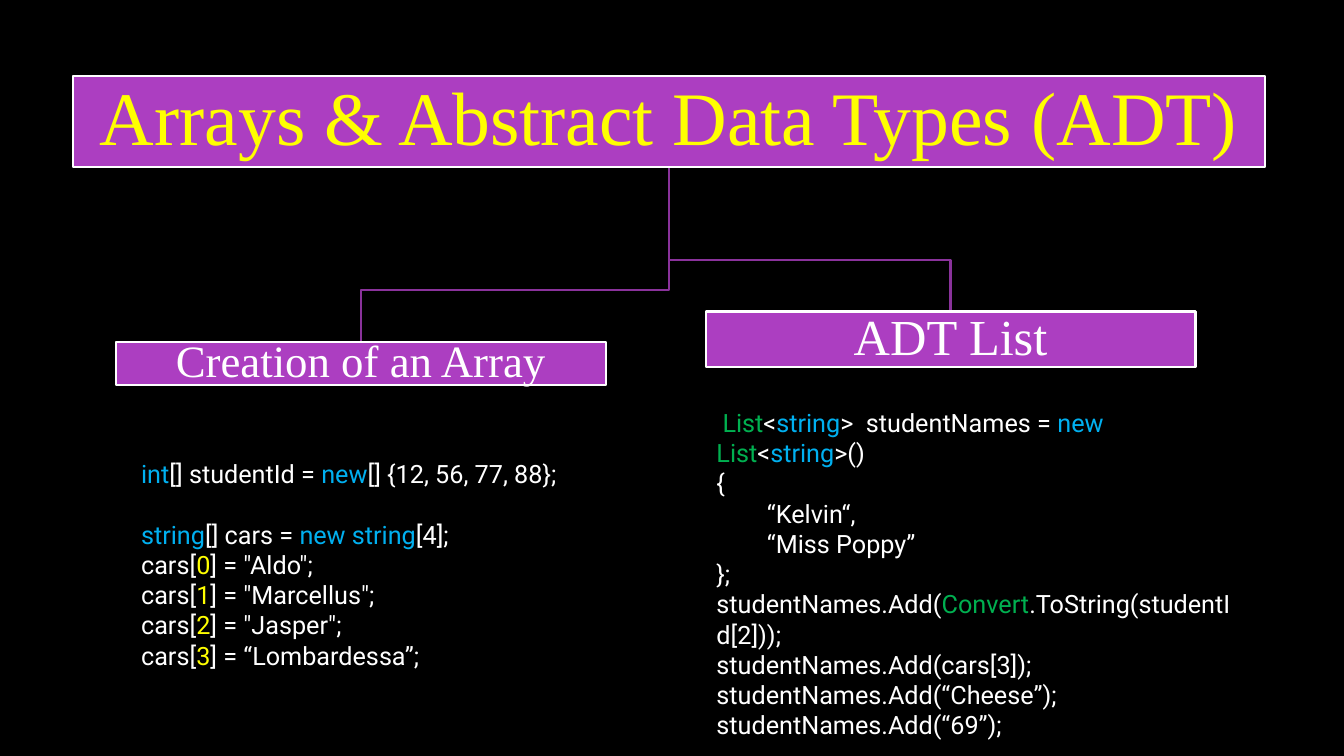
"""Build a slide that outlines arrays and abstract data types as a small tree."""
from dataclasses import dataclass

from pptx import Presentation
from pptx import util as u
from pptx.dml.color import RGBColor
from pptx.enum import shapes, text

COLORS = {
    "black": "000000", "white": "FFFFFF", "purple": "AC3EC1", "plum": "8A329B",
    "yellow": "FFFF00", "blue": "00B0F0", "green": "00B050",
}
TOKEN_COLORS = {
    **dict.fromkeys(["int", "string", "new", "new string"], "blue"),
    **dict.fromkeys(["List", "Convert"], "green"),
    **dict.fromkeys("0123", "yellow"),
}
WIDTH, HEIGHT = u.Inches(13.33), u.Inches(7.5)
COLUMNS, ROWS = 160, 90
ELBOW_ROWS = 6.12
CODE_SIZE = u.Pt(18)
CODE_LINE = u.Pt(21.6)
SPACE_WIDTH = u.Inches(0.06)


@dataclass
class Area:
    column: float
    row: float
    columns: float
    rows: float

    def box(self) -> tuple[int, int, int, int]:
        """Return left, top, width and height in slide units."""
        return (across(self.column), down(self.row),
                across(self.columns), down(self.rows))


@dataclass
class Heading:
    label: str
    area: Area
    size: int
    inset: float
    color: str = "white"


@dataclass
class Line:
    code: str
    level: int = 0
    first_indent: int = 0
    space_before: int = 0


@dataclass
class Listing:
    area: Area
    lines: list[Line]
    inset: float = 0.1


TITLE = Heading("Arrays & Abstract Data Types (ADT)",
                Area(8.64, 9, 141.96, 10.92), 54, 0.04, "yellow")
TOPICS = [
    Heading("ADT List", Area(84, 37.08, 58.32, 6.6), 36, 0.03),
    Heading("Creation of an Array", Area(13.8, 40.68, 58.32, 5.16), 32, 0.02),
]
CARS = ['"Aldo"', '"Marcellus"', '"Jasper"', "“Lombardessa”"]
LISTINGS = [
    Listing(Area(14.88, 54, 58.8, 26.64), [
        Line("int|[] studentId = |new|[] {12, 56, 77, 88};"),
        Line("string|[] cars = |new string|[4];", space_before=CODE_LINE),
        *[Line(f"cars[|{index}|] = {car};") for index, car in enumerate(CARS)],
    ], inset=0.16),
    Listing(Area(84.12, 47.88, 63.72, 37.56), [
        Line("List|<|string|>  studentNames = |new |List|<|string|>()",
             first_indent=SPACE_WIDTH),
        Line("{"),
        Line("“Kelvin“,", level=1),
        Line("“Miss Poppy”", level=1),
        Line("};"),
        Line("studentNames.Add(|Convert|.ToString(studentId[2]));"),
        *[Line(f"studentNames.Add({item});") for item in ("cars[3]", "“Cheese”", "“69”")],
    ]),
]


def across(columns: float) -> int:
    """Convert grid columns to slide units."""
    return round(WIDTH * columns / COLUMNS)


def down(rows: float) -> int:
    """Convert grid rows to slide units."""
    return round(HEIGHT * rows / ROWS)


def rgb(name: str) -> RGBColor:
    """Look up a named colour."""
    return RGBColor.from_string(COLORS[name])


def outline(shape, color: str) -> None:
    """Give a shape a plain outline without shadow."""
    shape.shadow.inherit = False
    shape.line.color.rgb = rgb(color)
    shape.line.width = u.Pt(1.5)


def draw_branch(slide, parent: Area, child: Area) -> None:
    """Draw an elbow line from the parent's bottom to the child's top."""
    start_x, end_x = (across(area.column + area.columns / 2) for area in (parent, child))
    start_y, end_y = down(parent.row + parent.rows), down(child.row)
    bend_y = down(child.row - ELBOW_ROWS)
    builder = slide.shapes.build_freeform(start_x, start_y)
    builder.add_line_segments([(start_x, bend_y), (end_x, bend_y), (end_x, end_y)],
                              close=False)
    branch = builder.convert_to_shape()
    branch.fill.background()
    outline(branch, "plum")


def draw_heading(slide, heading: Heading) -> None:
    """Draw a filled box with a centred label."""
    shape = slide.shapes.add_shape(shapes.MSO_SHAPE.RECTANGLE, *heading.area.box())
    shape.fill.solid()
    shape.fill.fore_color.rgb = rgb("purple")
    outline(shape, "white")
    frame = shape.text_frame
    frame.word_wrap = True
    frame.vertical_anchor = text.MSO_ANCHOR.MIDDLE
    frame.margin_left = frame.margin_right = u.Inches(heading.inset)
    frame.margin_top = frame.margin_bottom = u.Inches(heading.inset)
    paragraph = frame.paragraphs[0]
    paragraph.text = heading.label
    paragraph.alignment = text.PP_ALIGN.CENTER
    paragraph.line_spacing = 0.9
    paragraph.font.name = "Times New Roman"
    paragraph.font.size = u.Pt(heading.size)
    paragraph.font.color.rgb = rgb(heading.color)


def draw_listing(slide, listing: Listing) -> None:
    """Draw code lines, colouring the tokens set apart by bars."""
    frame = slide.shapes.add_textbox(*listing.area.box()).text_frame
    frame.word_wrap = True
    frame.auto_size = text.MSO_AUTO_SIZE.SHAPE_TO_FIT_TEXT
    frame.margin_left = u.Inches(listing.inset)
    for index, line in enumerate(listing.lines):
        paragraph = frame.add_paragraph() if index else frame.paragraphs[0]
        paragraph.level = line.level
        paragraph.space_before = line.space_before
        paragraph.font.name = "Roboto"
        paragraph.font.size = CODE_SIZE
        properties = paragraph._p.get_or_add_pPr()
        properties.set("marL", str(u.Inches(0.5) * line.level))
        properties.set("indent", str(line.first_indent))
        for token in line.code.split("|"):
            run = paragraph.add_run()
            run.text = token
            run.font.color.rgb = rgb(TOKEN_COLORS.get(token.strip(), "white"))


def main() -> None:
    """Assemble and save the presentation."""
    presentation = Presentation()
    presentation.slide_width, presentation.slide_height = WIDTH, HEIGHT
    slide = presentation.slides.add_slide(presentation.slide_layouts[6])
    slide.background.fill.solid()
    slide.background.fill.fore_color.rgb = rgb("black")
    for topic in TOPICS:
        draw_branch(slide, TITLE.area, topic.area)
    for heading in [TITLE, *TOPICS]:
        draw_heading(slide, heading)
    for listing in LISTINGS:
        draw_listing(slide, listing)
    presentation.save("out.pptx")


main()
